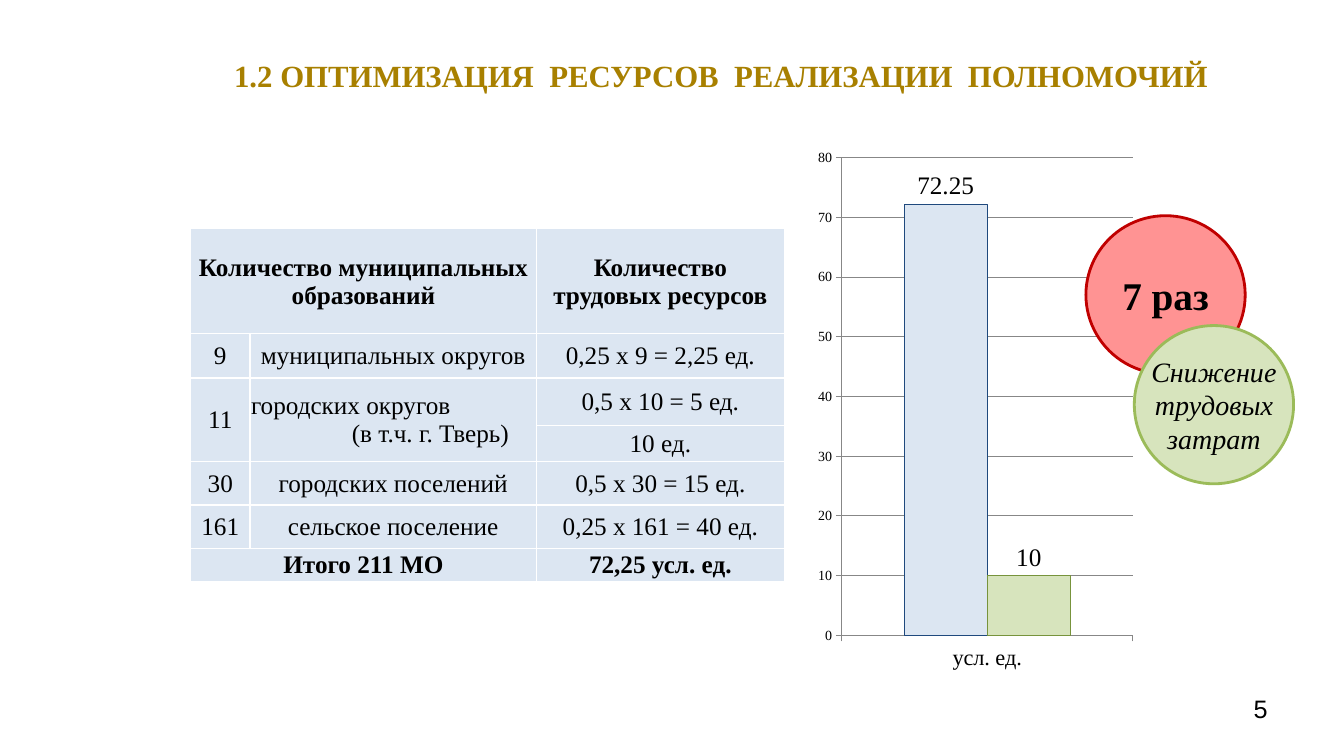
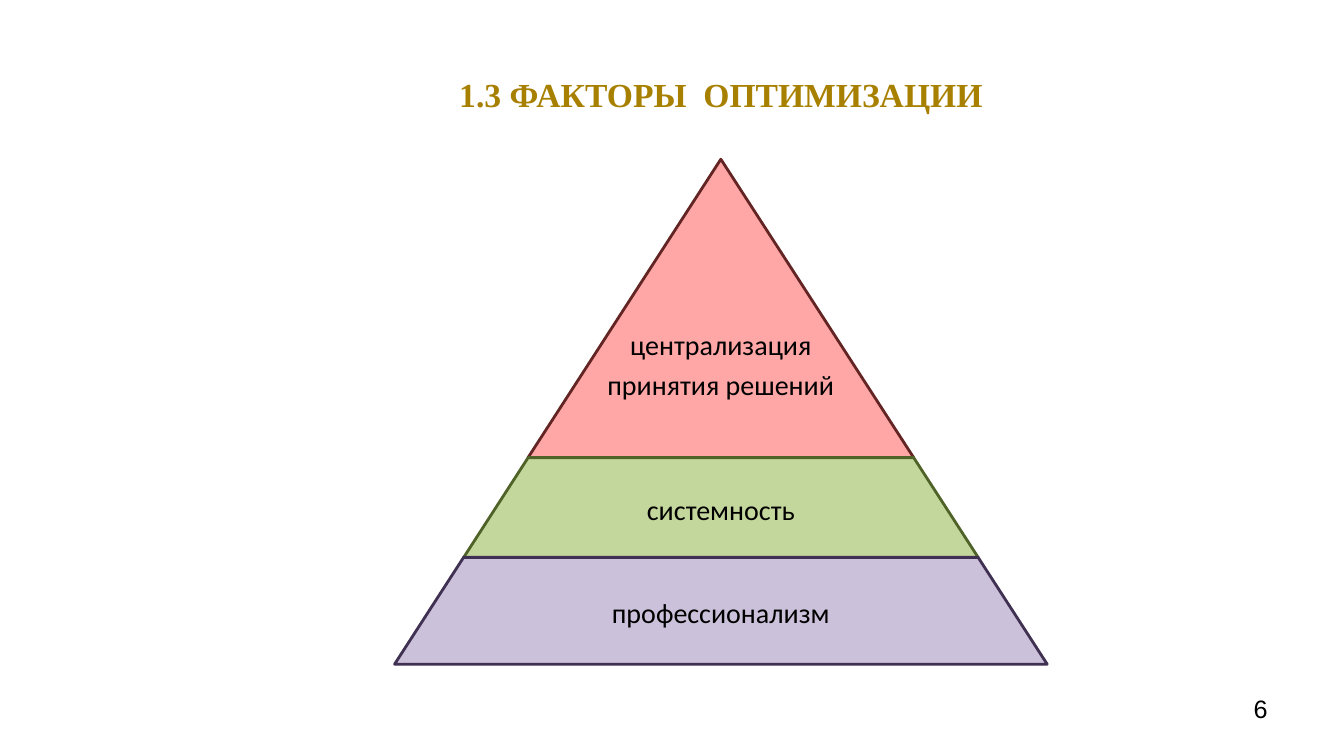
from dataclasses import dataclass

from pptx import Presentation
from pptx.chart.data import CategoryChartData
from pptx.dml.color import RGBColor
from pptx.enum.chart import XL_CHART_TYPE, XL_LABEL_POSITION, XL_TICK_MARK
from pptx.enum.shapes import MSO_SHAPE
from pptx.enum.text import MSO_ANCHOR, MSO_AUTO_SIZE, PP_ALIGN
from pptx.util import Inches, Pt

CENTER, LEFT, RIGHT = PP_ALIGN.CENTER, PP_ALIGN.LEFT, PP_ALIGN.RIGHT
MIDDLE = MSO_ANCHOR.MIDDLE
OVAL, TRAPEZOID = MSO_SHAPE.OVAL, MSO_SHAPE.TRAPEZOID
COLUMNS = XL_CHART_TYPE.COLUMN_CLUSTERED
ABOVE_BAR = XL_LABEL_POSITION.OUTSIDE_END
TICK_OUTSIDE, TICK_NONE = XL_TICK_MARK.OUTSIDE, XL_TICK_MARK.NONE


@dataclass(frozen=True)
class Theme:
    serif: str = "Times New Roman"
    sans: str = "Calibri"
    footer: str = "Arial"
    title: str = "A88000"
    text: str = "000000"
    blue: str = "DCE6F2"
    navy: str = "1F497D"
    green: str = "D7E4BD"
    olive: str = "77933C"
    grid: str = "878787"
    body_size: int = 18
    level_size: int = 20
    category_size: int = 16
    tick_size: int = 10
    outline: float = 2
    thin: float = 0.75


THEME = Theme()
SLIDE_WIDTH, SLIDE_HEIGHT = 13.33, 7.5
TITLE_LEFT, TITLE_TOP, TITLE_WIDTH = 1.19, 0.48, 11.92
PAGE_NUMBER_BOX = (9.56, 6.83, 3.11, 0.52)

# title, size, height of the title area, page number
RESOURCES = ("1.2 ОПТИМИЗАЦИЯ  РЕСУРСОВ  РЕАЛИЗАЦИИ  ПОЛНОМОЧИЙ", 22, 0.54, "5")
FACTORS = ("1.3 ФАКТОРЫ  ОПТИМИЗАЦИИ", 24, 0.9, "6")

TABLE_ORIGIN = (1.89, 2.27)
TABLE_COLUMNS = (0.59, 2.84, 2.46)
TABLE_ROWS = (1.04, 0.44, 0.47, 0.36, 0.43, 0.43, 0.33)
TABLE_CELLS = [
    ("Количество муниципальных образований", "", "Количество трудовых ресурсов"),
    ("9", "муниципальных округов", "0,25 х 9 = 2,25 ед."),
    ("11", "городских округов\n(в т.ч. г. Тверь)", "0,5 х 10 = 5 ед."),
    ("", "", "10 ед."),
    ("30", "городских поселений", "0,5 х 30 = 15 ед."),
    ("161", "сельское поселение", "0,25 х 161 = 40 ед."),
    ("Итого 211 МО", "", "72,25 усл. ед."),
]
BOLD_ROWS = (0, len(TABLE_ROWS) - 1)
TABLE_MERGES = [((0, 0), (0, 1)), ((2, 0), (3, 0)), ((2, 1), (3, 1)), ((6, 0), (6, 1))]
CITY_CELL, CITY_INDENT = (2, 1), 1.0

CHART_BOX = (8.05, 1.38, 3.25, 5.38)
CHART_CATEGORY = "усл. ед."
CHART_SERIES = [
    ("Series 1", 72.25, THEME.blue, THEME.navy),
    ("Series 2", 10, THEME.green, THEME.olive),
]

CIRCLE_SIZE = (1.58, 1.57)
# left, top, text, size, bold, italic, fill, line
CIRCLES = [
    (10.77, 2.14, "7 раз", 28, True, False, "FF9393", "C00000"),
    (11.25, 3.23, "Снижение\nтрудовых\nзатрат", 20, False, True, THEME.green, "9BBB59"),
]

PYRAMID_CENTER, PYRAMID_TOP, PYRAMID_SLOPE = 7.15, 1.58, 0.646
# text, height, top inset, fill, line
PYRAMID_LEVELS = [
    ("централизация\nпринятия решений", 2.96, 0.2, "FFA7A7", "632523"),
    ("системность", 0.99, 0.03, "C3D69B", "4F6228"),
    ("профессионализм", 1.06, 0.03, "CCC1DA", "403152"),
]


def rgb(color):
    return RGBColor.from_string(color)


def style_font(font, size, name=THEME.serif, color=THEME.text, bold=False, italic=False):
    font.size, font.name = Pt(size), name
    font.bold, font.italic = bold, italic
    font.color.rgb = rgb(color)


def write(frame, text, size, align=CENTER, **style):
    """Set the text of a frame and format all of its runs."""
    frame.text = text
    for paragraph in frame.paragraphs:
        paragraph.alignment = align
        for run in paragraph.runs:
            style_font(run.font, size, **style)


def paint(item, fill, line, width):
    """Give a shape or chart series a solid fill and an outline."""
    item.fill.solid()
    item.fill.fore_color.rgb = rgb(fill)
    item.line.color.rgb = rgb(line)
    item.line.width = Pt(width)


def add_figure(slide, preset, box, fill, line, margin_top=0.03):
    """Add an outlined shape that holds centred, unwrapped text."""
    shape = slide.shapes.add_shape(preset, *map(Inches, box))
    shape.shadow.inherit = False
    paint(shape, fill, line, THEME.outline)
    frame = shape.text_frame
    frame.word_wrap = False
    frame.vertical_anchor = MIDDLE
    frame.margin_left = frame.margin_right = frame.margin_bottom = Inches(0.03)
    frame.margin_top = Inches(margin_top)
    return shape


def add_titled_slide(presentation, title, size, height, page):
    slide = presentation.slides.add_slide(presentation.slide_layouts.get_by_name("Title Only"))
    heading = slide.shapes.title
    heading.left, heading.top = Inches(TITLE_LEFT), Inches(TITLE_TOP)
    heading.width, heading.height = Inches(TITLE_WIDTH), Inches(height)
    heading.text_frame.auto_size = MSO_AUTO_SIZE.NONE
    heading.text_frame.vertical_anchor = MIDDLE
    write(heading.text_frame, title, size, color=THEME.title, bold=True)
    number = slide.shapes.add_textbox(*map(Inches, PAGE_NUMBER_BOX))
    number.text_frame.word_wrap = True
    write(number.text_frame, page, THEME.body_size, RIGHT, name=THEME.footer)
    return slide


def add_resource_table(slide):
    size = (sum(TABLE_COLUMNS), sum(TABLE_ROWS))
    table = slide.shapes.add_table(
        len(TABLE_ROWS), len(TABLE_COLUMNS), *map(Inches, TABLE_ORIGIN + size)).table
    table.first_row = table.horz_banding = False
    for column, width in zip(table.columns, TABLE_COLUMNS):
        column.width = Inches(width)
    for row, height in zip(table.rows, TABLE_ROWS):
        row.height = Inches(height)
    for row_index, texts in enumerate(TABLE_CELLS):
        for column_index, text in enumerate(texts):
            cell = table.cell(row_index, column_index)
            cell.fill.solid()
            cell.fill.fore_color.rgb = rgb(THEME.blue)
            cell.vertical_anchor = MIDDLE
            cell.margin_left = cell.margin_right = cell.margin_top = Inches(0.01)
            cell.margin_bottom = 0
            write(cell.text_frame, text, THEME.body_size, bold=row_index in BOLD_ROWS)
    for first, last in TABLE_MERGES:
        table.cell(*first).merge(table.cell(*last))
    cities, note = table.cell(*CITY_CELL).text_frame.paragraphs[:2]
    cities.alignment = note.alignment = LEFT
    note._p.get_or_add_pPr().set("marL", str(Inches(CITY_INDENT)))


def add_resource_chart(slide):
    chart_data = CategoryChartData()
    chart_data.categories = [CHART_CATEGORY]
    for name, value, _, _ in CHART_SERIES:
        chart_data.add_series(name, [value])
    chart = slide.shapes.add_chart(COLUMNS, *map(Inches, CHART_BOX), chart_data).chart
    chart.has_legend = chart.has_title = False
    style_font(chart.font, THEME.body_size)

    plot = chart.plots[0]
    plot.gap_width, plot.overlap, plot.vary_by_categories = 150, 0, False
    for series, (_, _, fill, line) in zip(plot.series, CHART_SERIES):
        paint(series.format, fill, line, THEME.thin)
        labels = series.data_labels
        labels.show_value = True
        labels.position = ABOVE_BAR
        style_font(labels.font, THEME.body_size)

    values = chart.value_axis
    values.minimum_scale, values.maximum_scale, values.major_unit = 0, 80, 10
    values.major_gridlines.format.line.color.rgb = rgb(THEME.grid)
    values.major_gridlines.format.line.width = Pt(THEME.thin)
    for axis, size in ((values, THEME.tick_size), (chart.category_axis, THEME.category_size)):
        axis.major_tick_mark, axis.minor_tick_mark = TICK_OUTSIDE, TICK_NONE
        axis.format.line.color.rgb = rgb(THEME.grid)
        axis.format.line.width = Pt(THEME.thin)
        style_font(axis.tick_labels.font, size)


def add_circles(slide):
    for left, top, text, size, bold, italic, fill, line in CIRCLES:
        circle = add_figure(slide, OVAL, (left, top, *CIRCLE_SIZE), fill, line)
        write(circle.text_frame, text, size, bold=bold, italic=italic)


def add_pyramid(slide):
    """Stack trapezoids whose sides continue the same two slanted lines."""
    depth = 0
    for text, height, margin_top, fill, line in PYRAMID_LEVELS:
        top = PYRAMID_TOP + depth
        depth += height
        half_width = PYRAMID_SLOPE * depth
        box = (PYRAMID_CENTER - half_width, top, 2 * half_width, height)
        level = add_figure(slide, TRAPEZOID, box, fill, line, margin_top)
        level.adjustments[0] = PYRAMID_SLOPE
        write(level.text_frame, text, THEME.level_size, name=THEME.sans)
        for paragraph in level.text_frame.paragraphs:
            paragraph.line_spacing = 0.9
            paragraph.space_after = Pt(7)


def main():
    presentation = Presentation()
    presentation.slide_width = Inches(SLIDE_WIDTH)
    presentation.slide_height = Inches(SLIDE_HEIGHT)

    resources = add_titled_slide(presentation, *RESOURCES)
    add_resource_chart(resources)
    add_resource_table(resources)
    add_circles(resources)

    factors = add_titled_slide(presentation, *FACTORS)
    add_pyramid(factors)

    presentation.save("out.pptx")


if __name__ == "__main__":
    main()
